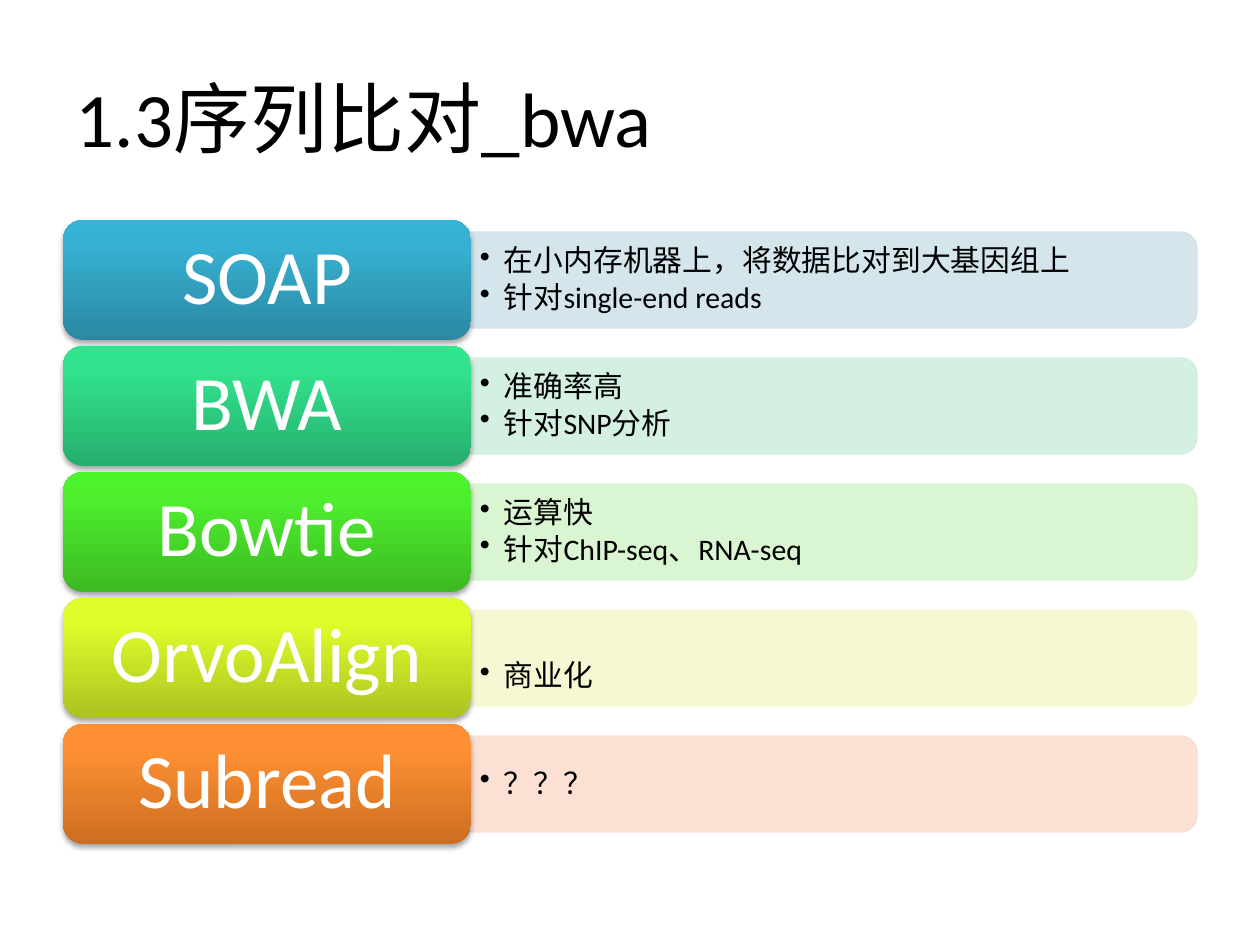
"""Build the sequence alignment slide: one gradient label and one bulleted band per tool."""
from lxml import etree
from pptx import Presentation
from pptx import util as u
from pptx.dml import color
from pptx.enum import shapes, text
from pptx.oxml import ns

PX = 914400 // 126
FONT = "Calibri"
COLORS = {"black": "000000", "white": "FFFFFF"}
TOP, PITCH = 220, 126
TOOLS = [
    ("SOAP", ["在小内存机器上，将数据比对到大基因组上", "针对single-end reads"],
     "D0E3EA", ["2A88A2", "37B1D2", "34B4D6"], 5),
    ("BWA", ["准确率高", "针对SNP分析"],
     "CFEFE1", ["26AE6D", "32E28D", "2EE68E"], 5),
    ("Bowtie", ["运算快", "针对ChIP-seq、RNA-seq"],
     "D6F4CE", ["3CB923", "4EF02E", "4CF52A"], 5),
    ("OrvoAlign", ["商业化"],
     "F6F8CF", ["ACC321", "DFFD2B", "E1FF2B"], 42),
    ("Subread", ["？？？"],
     "FCDDCF", ["CC6E20", "FF9034", "FF9136"], 5),
]


def rgb(value):
    return color.RGBColor.from_string(value)


def add_xml(parent, tag, **attributes):
    return etree.SubElement(parent, ns.qn(tag), attributes)


class SlideBuilder:
    def __init__(self, slide):
        self.slide = slide

    def add_shape(self, kind, box):
        shape = self.slide.shapes.add_shape(kind, *(n * PX for n in box))
        shape.shadow.inherit = False
        return shape

    def frame(self, shape, insets):
        frame = shape.text_frame
        frame.word_wrap = True
        frame.vertical_anchor = text.MSO_ANCHOR.MIDDLE
        frame.margin_left, frame.margin_top, frame.margin_right, frame.margin_bottom = (
            n * PX for n in insets)
        return frame

    def text_box(self, box, insets):
        return self.frame(self.slide.shapes.add_textbox(*(n * PX for n in box)), insets)

    def add_run(self, paragraph, words, size, ink):
        run = paragraph.add_run()
        run.text = words
        run.font.name = FONT
        run.font.size = u.Pt(size)
        run.font.color.rgb = rgb(ink)

    def title(self, words, box):
        paragraph = self.text_box(box, (13, 6, 13, 6)).paragraphs[0]
        self.add_run(paragraph, words, 44, COLORS["black"])

    def band(self, box, tint):
        left, top, width, height = box
        shift = (width - height) // 2
        shape = self.add_shape(shapes.MSO_SHAPE.ROUND_2_SAME_RECTANGLE,
                               (left + shift, top - shift, height, width))
        shape.rotation = 90
        shape.fill.solid()
        shape.fill.fore_color.rgb = rgb(tint)
        shape.line.color.rgb = rgb(tint)
        shape.line.width = u.Pt(0.75)
        for paint in shape._element.spPr.iter(ns.qn("a:srgbClr")):
            add_xml(paint, "a:alpha", val="90000")

    def bullets(self, lines, box, top_inset):
        frame = self.text_box(box, (9, top_inset, 9, 5))
        for index, words in enumerate(lines):
            paragraph = frame.add_paragraph() if index else frame.paragraphs[0]
            paragraph.line_spacing = 0.9
            paragraph.space_after = u.Pt(2.5)
            properties = paragraph._p.get_or_add_pPr()
            properties.set("marL", str(24 * PX))
            properties.set("indent", str(-24 * PX))
            add_xml(properties, "a:buChar", char="•")
            self.add_run(paragraph, words, 17, COLORS["black"])

    def label(self, words, box, gradient):
        shape = self.add_shape(shapes.MSO_SHAPE.ROUNDED_RECTANGLE, box)
        shape.line.fill.background()
        shape.fill.gradient()
        shape.fill.gradient_angle = 90
        properties = shape._element.spPr
        stops = properties.find(ns.qn("a:gradFill")).find(ns.qn("a:gsLst"))
        stops.clear()
        for position, tint in zip((0, 80000, 100000), gradient):
            add_xml(add_xml(stops, "a:gs", pos=str(position)), "a:srgbClr", val=tint)
        shadow = add_xml(properties.find(ns.qn("a:effectLst")), "a:outerShdw",
                         blurRad=str(u.Pt(3.1)), dist=str(u.Pt(1.8)),
                         dir="5400000", rotWithShape="0")
        add_xml(add_xml(shadow, "a:srgbClr", val=COLORS["black"]), "a:alpha", val="35000")
        paragraph = self.frame(shape, (23, 11, 23, 11)).paragraphs[0]
        paragraph.alignment = text.PP_ALIGN.CENTER
        paragraph.line_spacing = 0.9
        self.add_run(paragraph, words, 44, COLORS["white"])


def main():
    presentation = Presentation()
    presentation.slide_width, presentation.slide_height = u.Inches(10), u.Inches(7.5)
    builder = SlideBuilder(presentation.slides.add_slide(presentation.slide_layouts[6]))
    builder.title("1.3序列比对_bwa", (63, 38, 1134, 157))
    for row, (name, lines, tint, gradient, top_inset) in enumerate(TOOLS):
        top = TOP + row * PITCH
        builder.band((471, top + 12, 726, 96), tint)
        builder.bullets(lines, (471, top + 17, 721, 87), top_inset)
        builder.label(name, (63, top, 408, 120), gradient)
    presentation.save("out.pptx")


if __name__ == "__main__":
    main()
